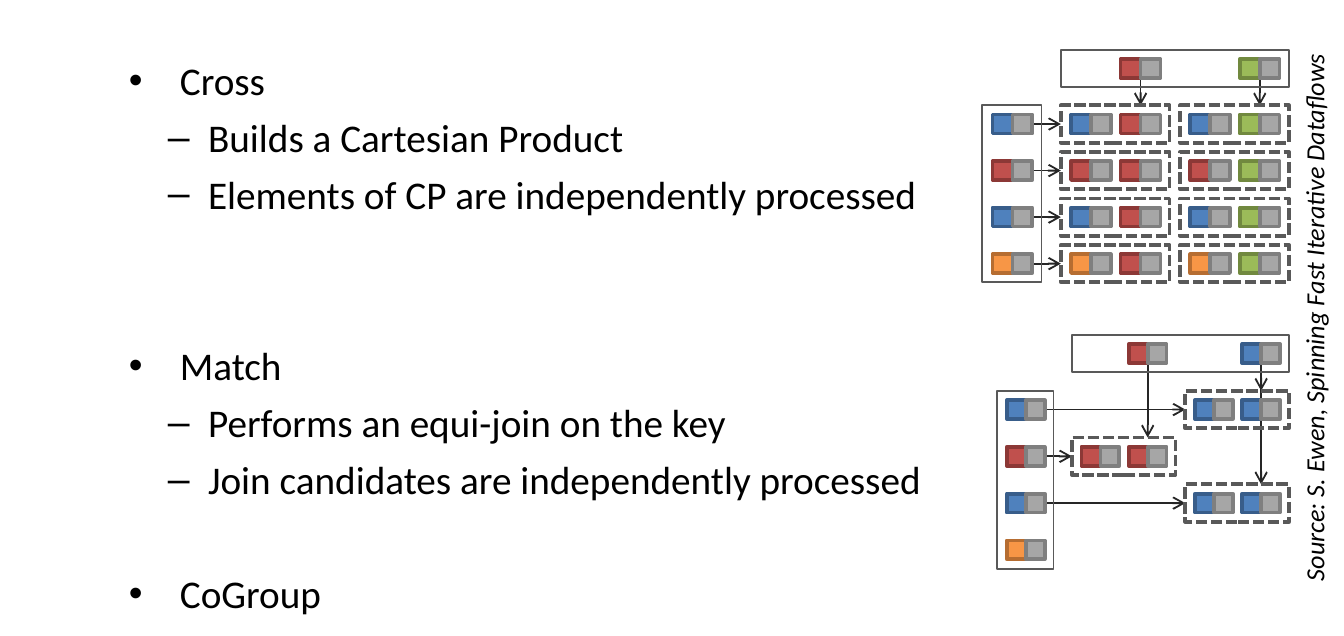
from lxml import etree
from pptx import Presentation
from pptx.dml.color import RGBColor
from pptx.enum.dml import MSO_LINE
from pptx.enum.shapes import MSO_CONNECTOR, MSO_SHAPE
from pptx.enum.text import MSO_AUTO_SIZE
from pptx.oxml.ns import qn
from pptx.util import Inches, Pt

RECTANGLE = MSO_SHAPE.RECTANGLE
STRAIGHT = MSO_CONNECTOR.STRAIGHT
DASHED = MSO_LINE.SQUARE_DOT
SHRINK_SHAPE = MSO_AUTO_SIZE.SHAPE_TO_FIT_TEXT

SLIDE_WIDTH, SLIDE_HEIGHT = 10, 4.73
FONT = "Calibri"

# Fill and outline of each key, and of the value beside it
BLUE = ("4F81BD", "385D8A")
RED = ("C0504D", "8C3836")
ORANGE = ("F79646", "B66D31")
GREEN = ("9BBB59", "71893F")
VALUE = ("A6A6A6", "7F7F7F")
FRAME, ARROW = "595959", "262626"

# Diagram grid, as shares of the diagram's width (x) and height (y)
PANEL_WIDTH, HEADER_LEFT = 0.193, 0.256
CELL_WIDTH, COLUMN_STEP = 0.355, 0.389
SQUARE_WIDTH, PAIR_INSET, SECOND_PAIR = 0.065, 0.033, 0.195
BODY_TOP, ROW_STEP, CELL_HEIGHT = 0.239, 0.2, 0.161
SQUARE_HEIGHT, PAIR_TOP = 0.081, 0.04

# Bullet character, left margin and hanging indent (inches) by level
BULLETS = (("•", 0.38, -0.38), ("–", 0.59, -0.3))
LINE_GAP, LINE_PITCH = 5.2, 30.8

# Level, blank lines above, wording
OUTLINE = (
    (0, 0, "Cross"),
    (1, 0, "Builds a Cartesian Product"),
    (1, 0, "Elements of CP are independently processed"),
    (0, 2, "Match"),
    (1, 0, "Performs an equi-join on the key"),
    (1, 0, "Join candidates are independently processed"),
    (0, 1, "CoGroup"),
)


def color(hex_string):
    return RGBColor.from_string(hex_string)


def format_font(paragraph, size, italic=False):
    for run in paragraph.runs:
        run.font.name = FONT
        run.font.size = Pt(size)
        run.font.italic = italic
        run.font.color.rgb = color("000000")


def add_bullet(paragraph, level):
    character, margin, indent = BULLETS[level]
    properties = paragraph._p.get_or_add_pPr()
    properties.set("marL", str(Inches(margin)))
    properties.set("indent", str(Inches(indent)))
    etree.SubElement(properties, qn("a:buFont"), typeface="Arial")
    etree.SubElement(properties, qn("a:buChar"), char=character)


def add_outline(slide, left, top, width, height):
    text_box = slide.shapes.add_textbox(*map(Inches, (left, top, width, height)))
    text_frame = text_box.text_frame
    text_frame.word_wrap = True
    text_frame.text = "\n".join(wording for _, _, wording in OUTLINE)
    for index, paragraph in enumerate(text_frame.paragraphs):
        level, blank_lines, _ = OUTLINE[index]
        paragraph.level = level
        add_bullet(paragraph, level)
        if index:
            paragraph.space_before = Pt(LINE_GAP + blank_lines * LINE_PITCH)
        format_font(paragraph, 21)


def add_source(slide, left, top, width, height):
    text_box = slide.shapes.add_textbox(*map(Inches, (left, top, width, height)))
    text_box.rotation = 270
    text_frame = text_box.text_frame
    text_frame.word_wrap = False
    text_frame.auto_size = SHRINK_SHAPE
    text_frame.text = "Source: S. Ewen, Spinning Fast Iterative Dataflows"
    format_font(text_frame.paragraphs[0], 14, italic=True)


def add_join_diagram(slide, box, side_keys, top_keys, is_joined):
    left, top, width, height = box
    shapes = slide.shapes.add_group_shape().shapes

    def place(x, y):
        return Inches(left + x * width), Inches(top + y * height)

    def add_box(x, y, share_width, share_height, line, weight, fill=None, dash=None):
        shape = shapes.add_shape(RECTANGLE, *place(x, y),
                                 Inches(share_width * width), Inches(share_height * height))
        shape.shadow.inherit = False
        if fill:
            shape.fill.solid()
            shape.fill.fore_color.rgb = color(fill)
        else:
            shape.fill.background()
        shape.line.color.rgb = color(line)
        shape.line.width = Pt(weight)
        if dash:
            shape.line.dash_style = dash

    def add_pair(x, y, key):
        for column, (fill, line) in enumerate((key, VALUE)):
            add_box(x + column * SQUARE_WIDTH, y + PAIR_TOP,
                    SQUARE_WIDTH, SQUARE_HEIGHT, line, 2, fill)

    def add_arrow(start, end):
        connector = shapes.add_connector(STRAIGHT, *place(*start), *place(*end))
        connector.line.color.rgb = color(ARROW)
        connector.line.width = Pt(1)
        etree.SubElement(connector.line._get_or_add_ln(), qn("a:tailEnd"), type="arrow")
        etree.SubElement(connector._element.spPr, qn("a:effectLst"))

    column_lefts = [HEADER_LEFT + i * COLUMN_STEP for i in range(len(top_keys))]
    row_tops = [BODY_TOP + i * ROW_STEP for i in range(len(side_keys))]
    cells = [(row, column) for row, side in enumerate(side_keys)
             for column, key in enumerate(top_keys) if is_joined(side, key)]

    # Arrows lead into every cell that has no cell right before it
    for row, column in cells:
        x, y = column_lefts[column], row_tops[row]
        if (row, column - 1) not in cells:
            middle = y + CELL_HEIGHT / 2
            add_arrow((PAIR_INSET + 2 * SQUARE_WIDTH, middle), (x, middle))
        if (row - 1, column) not in cells:
            middle = x + SECOND_PAIR + SQUARE_WIDTH
            add_arrow((middle, CELL_HEIGHT / 2), (middle, y))

    # Joined cells
    for row, column in cells:
        x, y = column_lefts[column], row_tops[row]
        add_box(x, y, CELL_WIDTH, CELL_HEIGHT, FRAME, 2, dash=DASHED)
        add_pair(x + PAIR_INSET, y, side_keys[row])
        add_pair(x + SECOND_PAIR, y, top_keys[column])

    # Both inputs with their frames
    for y, key in zip(row_tops, side_keys):
        add_pair(PAIR_INSET, y, key)
    for x, key in zip(column_lefts, top_keys):
        add_pair(x + SECOND_PAIR, 0, key)
    add_box(0, BODY_TOP, PANEL_WIDTH, 1 - BODY_TOP, FRAME, 1)
    add_box(HEADER_LEFT, 0, 1 - HEADER_LEFT, CELL_HEIGHT, FRAME, 1)


def main():
    presentation = Presentation()
    presentation.slide_width = Inches(SLIDE_WIDTH)
    presentation.slide_height = Inches(SLIDE_HEIGHT)
    slide = presentation.slides.add_slide(presentation.slide_layouts[6])

    side_keys = (BLUE, RED, BLUE, ORANGE)
    add_outline(slide, 0.86, 0.37, 8.75, 5.8)
    add_join_diagram(slide, (7.42, 2.49, 2.17, 1.74), side_keys, (RED, BLUE),
                     lambda side, key: side == key)
    add_join_diagram(slide, (7.31, 0.37, 2.28, 1.73), side_keys, (RED, GREEN),
                     lambda side, key: True)
    add_source(slide, 7.71, 2.18, 4.14, 0.34)
    presentation.save("out.pptx")


if __name__ == "__main__":
    main()
